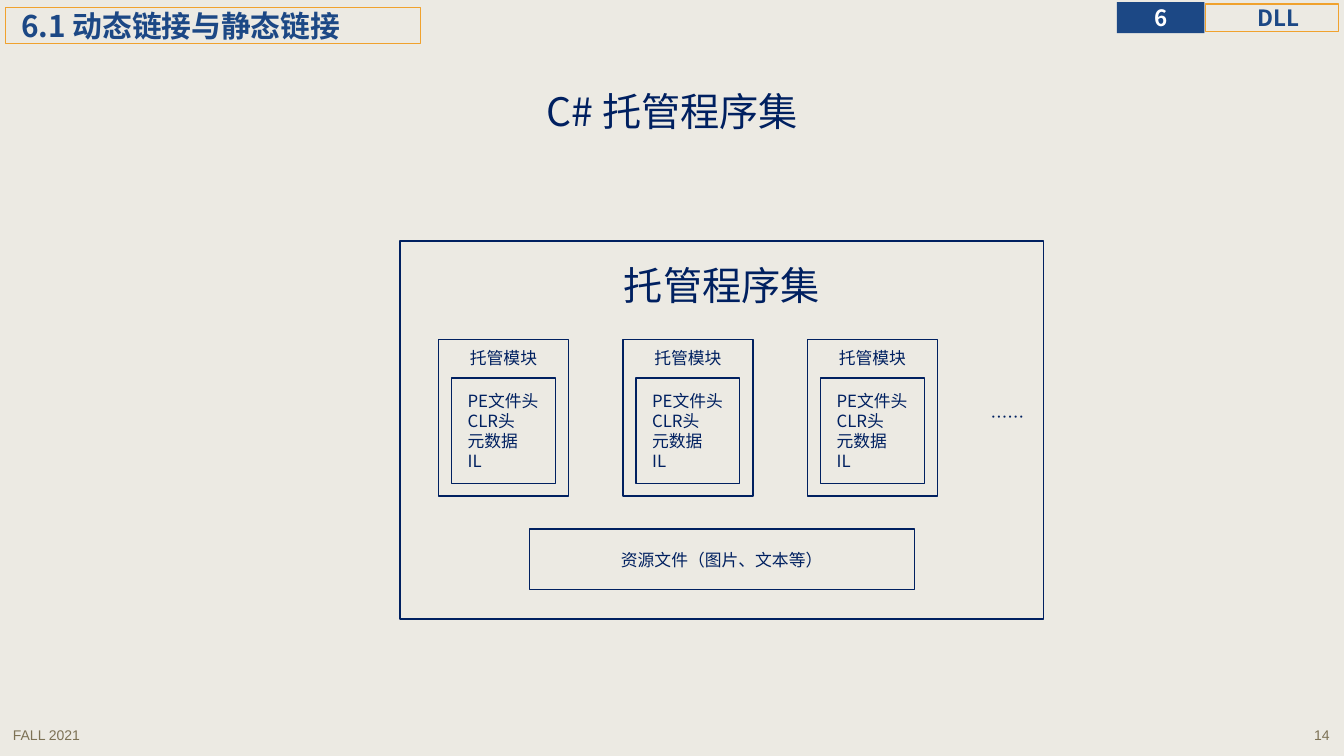
"""Builds the slide on C# managed assemblies and their modules."""
from pptx import Presentation
from pptx import util as u
from pptx.dml.color import RGBColor
from pptx.enum import shapes, text
from pptx.oxml.ns import qn
from lxml import etree

THEME = dict(
    bg="ECEAE3", navy="002060", blue="1C4885", orange="F0A22E", white="FFFFFF", grey="7C7154",
    font="Noto Sans CJK SC", footer_font="Arial",
    title=28, section=21.3, tag=16, body=12, footer=10,
)

FOOTER, PAGE = "FALL 2021", "14"
CHAPTER, TOPIC = "6", "DLL"
SECTION = "6.1 动态链接与静态链接"
TITLE = "C# 托管程序集"
ASSEMBLY = "托管程序集"
MODULE = "托管模块"
MODULE_PARTS = ["PE文件头", "CLR头", "元数据", "IL"]
MODULE_COUNT = 3
MORE = "……"
RESOURCES = "资源文件（图片、文本等）"

MODULE_LEFT, MODULE_TOP, MODULE_PITCH = 313.2, 242.64, 131.76
MODULE_W, MODULE_H = 92.88, 111.6
PARTS_DX, PARTS_DY, PARTS_W, PARTS_H = 9.36, 27.36, 74.16, 75.6

ALIGN = dict(l=text.PP_ALIGN.LEFT, c=text.PP_ALIGN.CENTER, r=text.PP_ALIGN.RIGHT)
ANCHOR = dict(t=text.MSO_ANCHOR.TOP, m=text.MSO_ANCHOR.MIDDLE)


def color(name):
    return RGBColor.from_string(THEME[name])


def write(sp, lines, size="body", ink="navy", font="font", bold=False, align="c",
          anchor="m", insets=(0, 0, 0, 0), wrap=True, spacing=None):
    tf = sp.text_frame
    tf.word_wrap = wrap
    tf.vertical_anchor = ANCHOR[anchor]
    tf.margin_left, tf.margin_top, tf.margin_right, tf.margin_bottom = map(u.Pt, insets)
    for i, line in enumerate([lines] if isinstance(lines, str) else lines):
        p = tf.add_paragraph() if i else tf.paragraphs[0]
        p.alignment = ALIGN[align]
        if spacing:
            p.line_spacing = spacing
        r = p.add_run()
        r.text = line
        r.font.name, r.font.size, r.font.bold = THEME[font], u.Pt(THEME[size]), bold
        r.font.color.rgb = color(ink)
        ea = etree.SubElement(r.font._element, qn("a:ea"))
        ea.set("typeface", THEME[font])


def label(s, box, lines, **fmt):
    write(s.shapes.add_textbox(*map(u.Pt, box)), lines, **fmt)


def rect(s, box, lines, fill=None, line="navy", weight=1, **fmt):
    sp = s.shapes.add_shape(shapes.MSO_SHAPE.RECTANGLE, *map(u.Pt, box))
    sp.shadow.inherit = False
    if fill:
        sp.fill.solid()
        sp.fill.fore_color.rgb = color(fill)
    else:
        sp.fill.background()
    if line:
        sp.line.color.rgb = color(line)
        sp.line.width = u.Pt(weight)
    else:
        sp.line.fill.background()
    write(sp, lines, **fmt)


def add_frame(s):
    small = dict(size="footer", ink="grey", font="footer_font", anchor="t",
                 insets=(7.2, 3.6, 7.2, 3.6))
    label(s, (2.16, 515.52, 200.16, 22.32), FOOTER, align="l", **small)
    label(s, (756.72, 515.52, 200.16, 22.32), PAGE, align="r", **small)
    outlined = dict(line="orange", weight=0.75, ink="blue", bold=True)
    rect(s, (861.12, 2.88, 95.04, 19.44), TOPIC, size="tag", insets=(8.64, 0, 0, 0), **outlined)
    rect(s, (797.76, 1.44, 62.64, 22.32), CHAPTER, fill="blue", line=None,
         size="tag", ink="white", bold=True, wrap=False)
    rect(s, (3.6, 5.04, 296.64, 25.92), SECTION, size="section", align="l",
         insets=(11.52, 0, 0, 0), **outlined)
    label(s, (66.24, 28.8, 828, 104.4), TITLE, size="title", spacing=0.9,
          insets=(5.76, 2.88, 5.76, 2.88))


def add_assembly(s):
    rect(s, (285.84, 172.08, 459.36, 270), ASSEMBLY, size="title", anchor="t",
         insets=(0, 14.4, 0, 0))
    for i in range(MODULE_COUNT):
        x = MODULE_LEFT + i * MODULE_PITCH
        rect(s, (x, MODULE_TOP, MODULE_W, MODULE_H), MODULE, anchor="t", insets=(0, 5.76, 0, 0))
        rect(s, (x + PARTS_DX, MODULE_TOP + PARTS_DY, PARTS_W, PARTS_H), MODULE_PARTS,
             align="l", insets=(11.52, 0, 0, 0))
    label(s, (670.32, 287.28, 98.64, 21.6), MORE, anchor="t", insets=(7.2, 3.6, 7.2, 3.6))
    rect(s, (378, 378, 275.04, 43.2), RESOURCES)


def main():
    prs = Presentation()
    prs.slide_width, prs.slide_height = u.Pt(960), u.Pt(540)
    s = prs.slides.add_slide(prs.slide_layouts[6])
    s.background.fill.solid()
    s.background.fill.fore_color.rgb = color("bg")
    add_frame(s)
    add_assembly(s)
    prs.save("out.pptx")


if __name__ == "__main__":
    main()
